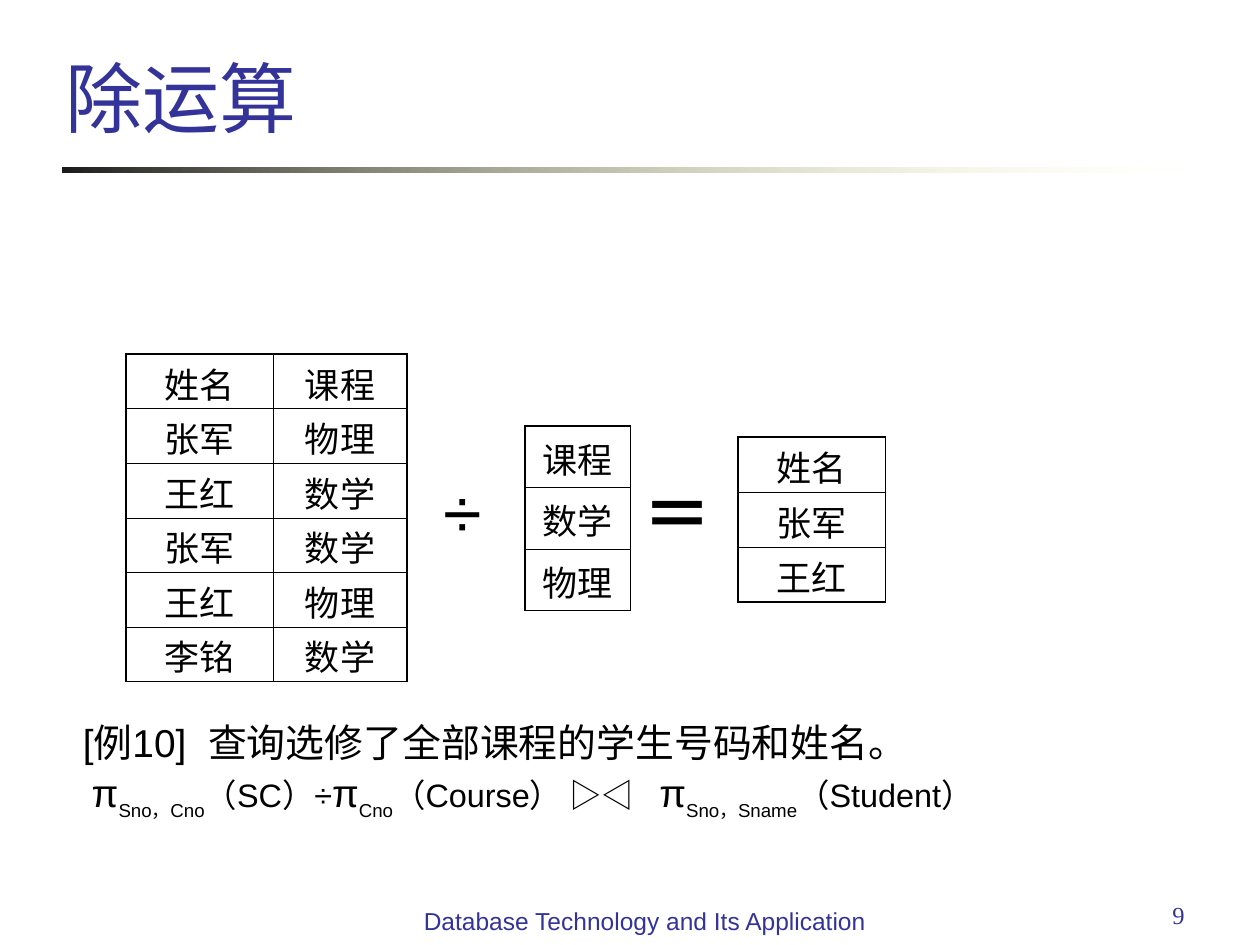
from dataclasses import dataclass

import lxml.etree
import pptx
import pptx.dml.color
import pptx.enum.shapes
import pptx.enum.text
import pptx.oxml
import pptx.oxml.ns
import pptx.util

Cm = pptx.util.Cm
Pt = pptx.util.Pt
RGBColor = pptx.dml.color.RGBColor
Align = pptx.enum.text.PP_ALIGN
Anchor = pptx.enum.text.MSO_ANCHOR
qn = pptx.oxml.ns.qn

BLACK = RGBColor(0x00, 0x00, 0x00)
NAVY = RGBColor(0x33, 0x33, 0x99)
RULE_START = RGBColor(0x1C, 0x1C, 0x1C)
RULE_END = RGBColor(0xFF, 0xFF, 0xB7)
SANS = "Arial"
SERIF = "Times New Roman"
OUTER_LINE = Pt(1.08)
INNER_LINE = Pt(0.45)
TEXT_SIZE = 18.5
LARGE_SIZE = 22.2
SUBSCRIPT = -30000


@dataclass
class Span:
    text: str
    size: float
    font: str = SANS
    color: RGBColor = BLACK
    bold: bool = False
    baseline: int = 0
    tracking: float = 0


@dataclass
class Label:
    """One line of text in a box; lengths in centimetres."""
    left: float
    top: float
    width: float
    height: float
    span: Span
    align: Align = Align.CENTER
    space_before: float = 0


@dataclass
class Relation:
    """A relation drawn as a table; lengths in centimetres."""
    left: float
    top: float
    column_widths: list[float]
    row_height: float
    rows: list[list[str]]


LABELS = [
    Label(8.69, 9.32, 1.07, 1.96, Span("÷", 40), space_before=25),
    Label(12.7, 9.37, 1.7, 1.96, Span("＝", 40, SERIF, bold=True), space_before=25),
    Label(18.21, 18.01, 5.92, 1.32, Span("9", 14, SERIF, NAVY), Align.RIGHT),
    Label(8.1, 18.14, 9.8, 1.32,
          Span("Database Technology and Its Application", 14, SANS, NAVY)),
]

RELATIONS = [
    Relation(2.54, 7.14, [2.97, 2.69], 1.1,
             [["姓名", "课程"], ["张军", "物理"], ["王红", "数学"],
              ["张军", "数学"], ["王红", "物理"], ["李铭", "数学"]]),
    Relation(10.59, 8.59, [2.12], 1.24, [["课程"], ["数学"], ["物理"]]),
    Relation(14.88, 8.81, [2.97], 1.11, [["姓名"], ["张军"], ["王红"]]),
]


def projection(attributes: list[str], relation: str) -> list[Span]:
    """Spans for π with subscript attributes, applied to a relation."""
    spans = [Span("π", LARGE_SIZE)]
    for index, attribute in enumerate(attributes):
        if index:
            spans.append(Span("，", TEXT_SIZE, SERIF, baseline=SUBSCRIPT))
        spans.append(Span(attribute, TEXT_SIZE, baseline=SUBSCRIPT))
    return spans + [Span("（", TEXT_SIZE, SERIF), Span(relation, TEXT_SIZE),
                    Span("）", TEXT_SIZE, SERIF)]


QUESTION = [
    Span("[", LARGE_SIZE),
    Span("例", LARGE_SIZE, SERIF),
    Span("10]", LARGE_SIZE),
    Span(" ", LARGE_SIZE, tracking=6.2),
    Span("查询选修了全部课程的学生号码和姓名。", LARGE_SIZE, SERIF),
]
ANSWER = [
    *projection(["Sno", "Cno"], "SC"),
    Span("÷", TEXT_SIZE),
    *projection(["Cno"], "Course"),
    Span(" ▷◁", TEXT_SIZE),
    Span(" ", TEXT_SIZE, tracking=10.3),
    *projection(["Sno", "Sname"], "Student"),
]


def add_span(para, span: Span) -> None:
    run = para.add_run()
    run.text = span.text
    run.font.size = Pt(span.size)
    run.font.name = span.font
    run.font.bold = span.bold
    run.font.color.rgb = span.color
    if span.baseline:
        run.font._element.set("baseline", str(span.baseline))
    if span.tracking:
        run.font._element.set("spc", str(round(span.tracking * 100)))


def set_title(page, text: str) -> None:
    title = page.shapes.title
    title.left, title.top, title.width, title.height = Cm(1.07), Cm(0), Cm(22.3), Cm(3)
    frame = title.text_frame
    frame.auto_size = pptx.enum.text.MSO_AUTO_SIZE.NONE
    frame.vertical_anchor = Anchor.BOTTOM
    frame.paragraphs[0].alignment = Align.LEFT
    add_span(frame.paragraphs[0], Span(text, 44, SANS, NAVY))


def add_title_rule(page) -> None:
    """Add the bar below the title, fading out to the right."""
    rule = page.shapes.add_shape(pptx.enum.shapes.MSO_SHAPE.RECTANGLE,
                                 Cm(1.27), Cm(3.38), Cm(22.86), Cm(0.1))
    rule.shadow.inherit = False
    rule.line.fill.background()
    rule.fill.gradient()
    rule.fill.gradient_angle = 0
    for stop, color in zip(rule.fill.gradient_stops, (RULE_START, RULE_END)):
        stop.color.rgb = color
    last_color = rule._element.spPr.findall(".//" + qn("a:srgbClr"))[-1]
    lxml.etree.SubElement(last_color, qn("a:alpha"), val="0")


def add_label(page, label: Label) -> None:
    box = page.shapes.add_textbox(Cm(label.left), Cm(label.top),
                                  Cm(label.width), Cm(label.height))
    box.text_frame.word_wrap = True
    para = box.text_frame.paragraphs[0]
    para.alignment = label.align
    para.space_before = Pt(label.space_before)
    add_span(para, label.span)


def set_borders(cell, widths: dict[str, int]) -> None:
    properties = cell._tc.get_or_add_tcPr()
    for index, (side, width) in enumerate(widths.items()):
        line = lxml.etree.Element(qn("a:" + side), w=str(int(width)))
        fill = lxml.etree.SubElement(line, qn("a:solidFill"))
        lxml.etree.SubElement(fill, qn("a:srgbClr"), val=str(BLACK))
        properties.insert(index, line)


def add_relation(page, relation: Relation) -> None:
    row_count, column_count = len(relation.rows), len(relation.column_widths)
    table = page.shapes.add_table(
        row_count, column_count, Cm(relation.left), Cm(relation.top),
        Cm(sum(relation.column_widths)), Cm(relation.row_height * row_count)).table
    table.first_row = table.horz_banding = False
    for column, width in zip(table.columns, relation.column_widths):
        column.width = Cm(width)
    for r, values in enumerate(relation.rows):
        table.rows[r].height = Cm(relation.row_height)
        for c, value in enumerate(values):
            cell = table.cell(r, c)
            cell.fill.background()
            cell.margin_top, cell.margin_bottom = Cm(0.05), Cm(0)
            cell.vertical_anchor = Anchor.MIDDLE
            para = cell.text_frame.paragraphs[0]
            para.alignment = Align.CENTER
            para.space_before = Pt(5)
            add_span(para, Span(value, 20))
            outer = {"lnL": c == 0, "lnR": c == column_count - 1,
                     "lnT": r == 0, "lnB": r == row_count - 1}
            set_borders(cell, {side: OUTER_LINE if is_outer else INNER_LINE
                               for side, is_outer in outer.items()})


def add_example_line(para, spans: list[Span], space_before: float,
                     indent: float) -> None:
    para.alignment = Align.JUSTIFY
    para.line_spacing = 0.8
    para.space_before = Pt(space_before)
    properties = para._p.get_or_add_pPr()
    properties.set("marL", "0")
    properties.set("indent", str(int(Cm(indent))))
    for span in spans:
        add_span(para, span)


def add_example(page) -> None:
    box = page.shapes.add_textbox(Cm(1.42), Cm(14.55), Cm(21.59), Cm(2.54))
    frame = box.text_frame
    frame.word_wrap = True
    add_example_line(frame.paragraphs[0], QUESTION, 6, indent=0)
    add_example_line(frame.add_paragraph(), ANSWER, 5, indent=0.18)


def main() -> None:
    deck = pptx.Presentation()
    deck.slide_width, deck.slide_height = Cm(25.4), Cm(19.05)
    page = deck.slides.add_slide(deck.slide_layouts.get_by_name("Title Only"))
    set_title(page, "除运算")
    add_title_rule(page)
    for relation in RELATIONS:
        add_relation(page, relation)
    add_example(page)
    for label in LABELS:
        add_label(page, label)
    deck.save("out.pptx")


if __name__ == "__main__":
    main()
